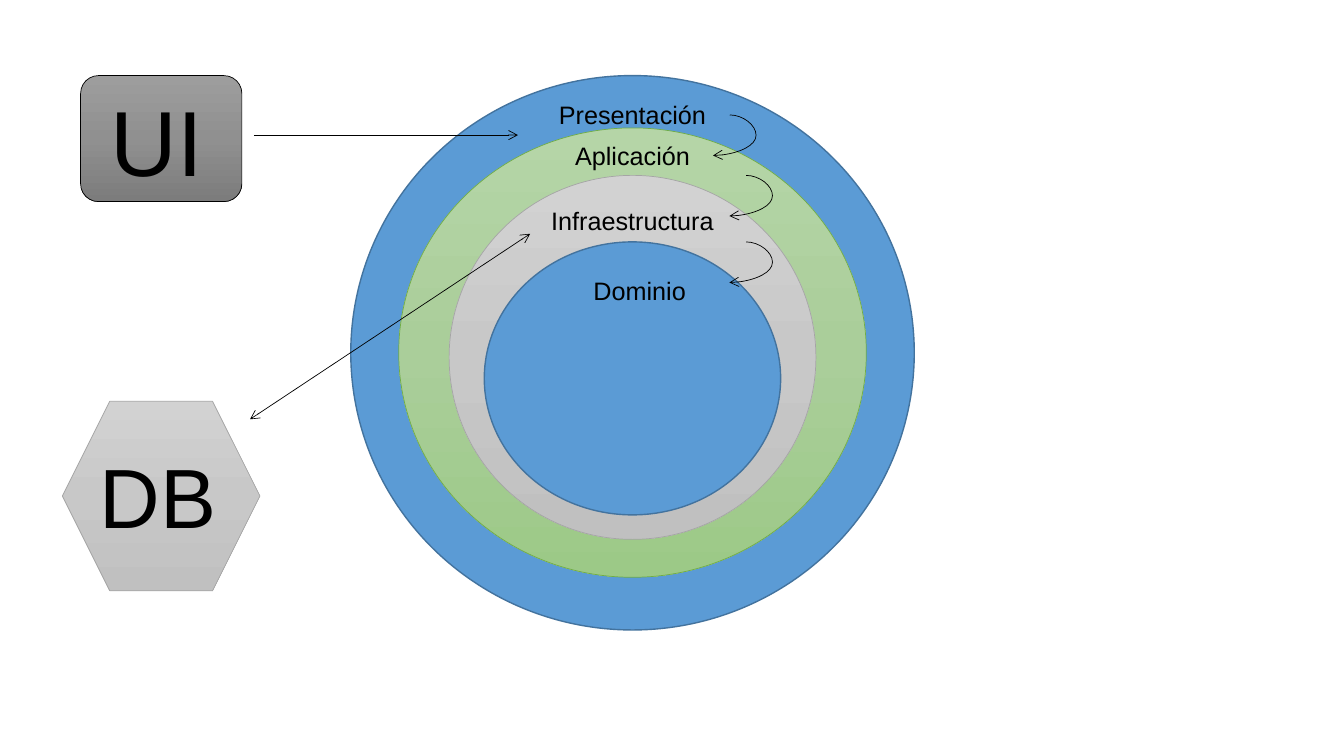
from copy import deepcopy

from pptx import Presentation
from pptx.dml.color import RGBColor
from pptx.enum.shapes import MSO_CONNECTOR as CONN, MSO_SHAPE as SHAPE
from pptx.enum.text import MSO_AUTO_SIZE as AUTO, PP_ALIGN as ALIGN
from pptx.oxml.ns import qn
from pptx.util import Pt

COLORS = {
    "black": "000000",
    "blue": "5B9BD5", "blue_line": "43739E",
    "green_top": "B5D5A7", "green_mid": "AACE9A", "green_low": "9CC987",
    "green_line": "70AD47",
    "silver_top": "D2D2D2", "silver_mid": "C8C8C8", "silver_low": "C0C0C0",
    "silver_line": "A5A5A5",
    "gray_top": "9D9D9D", "gray_mid": "909090", "gray_low": "7C7C7C",
}
BLUE = ["blue"]
GREEN = ["green_top", "green_mid", "green_low"]
SILVER = ["silver_top", "silver_mid", "silver_low"]
GRAY = ["gray_top", "gray_mid", "gray_low"]


class Diagram:
    font = "Arial"

    def __init__(self, slide):
        self.slide = slide

    def color(self, name):
        return RGBColor.from_string(COLORS[name])

    def shape(self, kind, x, y, w, h, fill, line, weight=0.5):
        s = self.slide.shapes.add_shape(kind, Pt(x), Pt(y), Pt(w), Pt(h))
        s.shadow.inherit = False
        if len(fill) == 1:
            s.fill.solid()
            s.fill.fore_color.rgb = self.color(fill[0])
        else:
            self.gradient(s.fill, fill)
        s.line.color.rgb = self.color(line)
        s.line.width = Pt(weight)
        return s

    def gradient(self, fill, names):
        fill.gradient()
        fill.gradient_angle = 270
        first = fill.gradient_stops[0]._gs
        first.addnext(deepcopy(first))
        for i, (stop, name) in enumerate(zip(fill.gradient_stops, names)):
            stop.position = i / (len(names) - 1)
            stop.color.rgb = self.color(name)

    def text(self, text, x, y, w, h, size, align=ALIGN.LEFT, indent=0):
        tf = self.slide.shapes.add_textbox(Pt(x), Pt(y), Pt(w), Pt(h)).text_frame
        tf.word_wrap = True
        tf.auto_size = AUTO.SHAPE_TO_FIT_TEXT
        tf.margin_left = Pt(7.2 + indent)
        tf.text = text
        p = tf.paragraphs[0]
        p.alignment = align
        r = p.runs[0]
        r.font.name = self.font
        r.font.size = Pt(size)
        r.font.color.rgb = self.color("black")

    def arrow(self, x1, y1, x2, y2, kind=CONN.STRAIGHT, ends=("tailEnd",), bend=None):
        c = self.slide.shapes.add_connector(kind, Pt(x1), Pt(y1), Pt(x2), Pt(y2))
        c.line.color.rgb = self.color("black")
        c.line.width = Pt(0.5)
        pr = c._element.spPr
        ln = pr.find(qn("a:ln"))
        for end in ends:
            tip = ln.makeelement(qn(f"a:{end}"), {"type": "arrow"})
            ln.append(tip)
        pr.append(pr.makeelement(qn("a:effectLst"), {}))
        if bend is not None:
            av = pr.find(qn("a:prstGeom")).get_or_add_avLst()
            av.append(av.makeelement(qn("a:gd"), {"name": "adj1", "fmla": f"val {bend}"}))


def main():
    prs = Presentation()
    prs.slide_width, prs.slide_height = Pt(960), Pt(540)
    d = Diagram(prs.slides.add_slide(prs.slide_layouts[6]))

    center = 451.8
    layers = [
        ("Presentación", 54, 402.5, 396, BLUE, "blue_line", 1, 67.7, 139, 0),
        ("Aplicación", 91.4, 334, 321, GREEN, "green_line", 0.5, 96.5, 115.2, 0),
        ("Infraestructura", 125.3, 262, 260, SILVER, "silver_line", 0.5, 143.3, 152, 0),
        ("Dominio", 172.8, 211.7, 195, BLUE, "blue_line", 1, 193, 115.2, 10),
    ]
    for name, y, w, h, fill, line, weight, label_y, label_w, indent in layers:
        d.shape(SHAPE.OVAL, center - w / 2, y, w, h, fill, line, weight)
        d.text(name, center - label_w / 2, label_y, label_w, 29, 18, ALIGN.CENTER, indent)

    ui = d.shape(SHAPE.ROUNDED_RECTANGLE, 57.6, 54, 115.2, 90, GRAY, "black")
    ui.adjustments[0] = 0.142
    d.text("UI", 72, 56.9, 85.7, 87.1, 66)
    d.shape(SHAPE.HEXAGON, 44.6, 286.6, 141.1, 135.4, SILVER, "silver_line")
    d.text("DB", 64.1, 313.9, 102.2, 79.9, 60)

    d.arrow(181.4, 96.5, 370, 96.5)
    for x, y in [(521.3, 82.1), (533, 125.3), (533, 172.8)]:
        d.arrow(x, y, x - 12, y + 29, CONN.CURVE, bend=-156900)
    d.arrow(378.7, 167, 178.6, 299.5, ends=("headEnd", "tailEnd"))

    prs.save("out.pptx")


if __name__ == "__main__":
    main()
